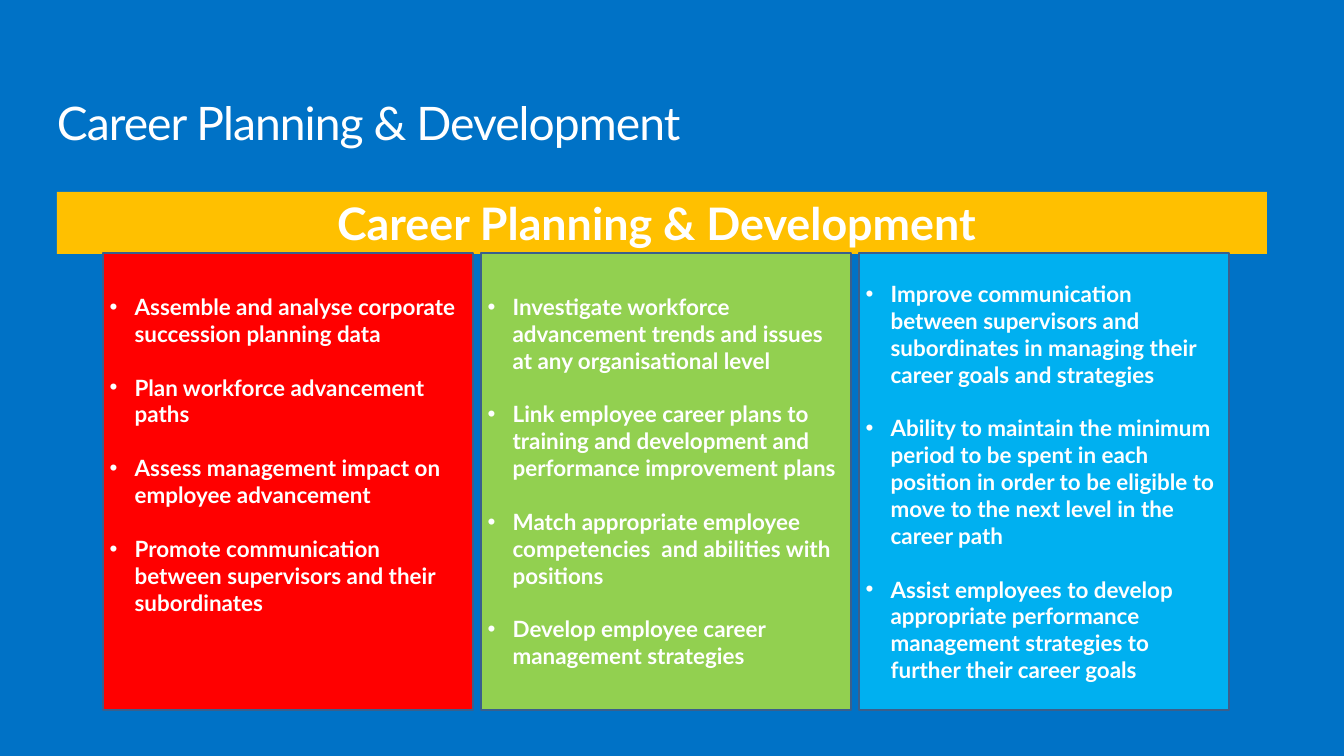
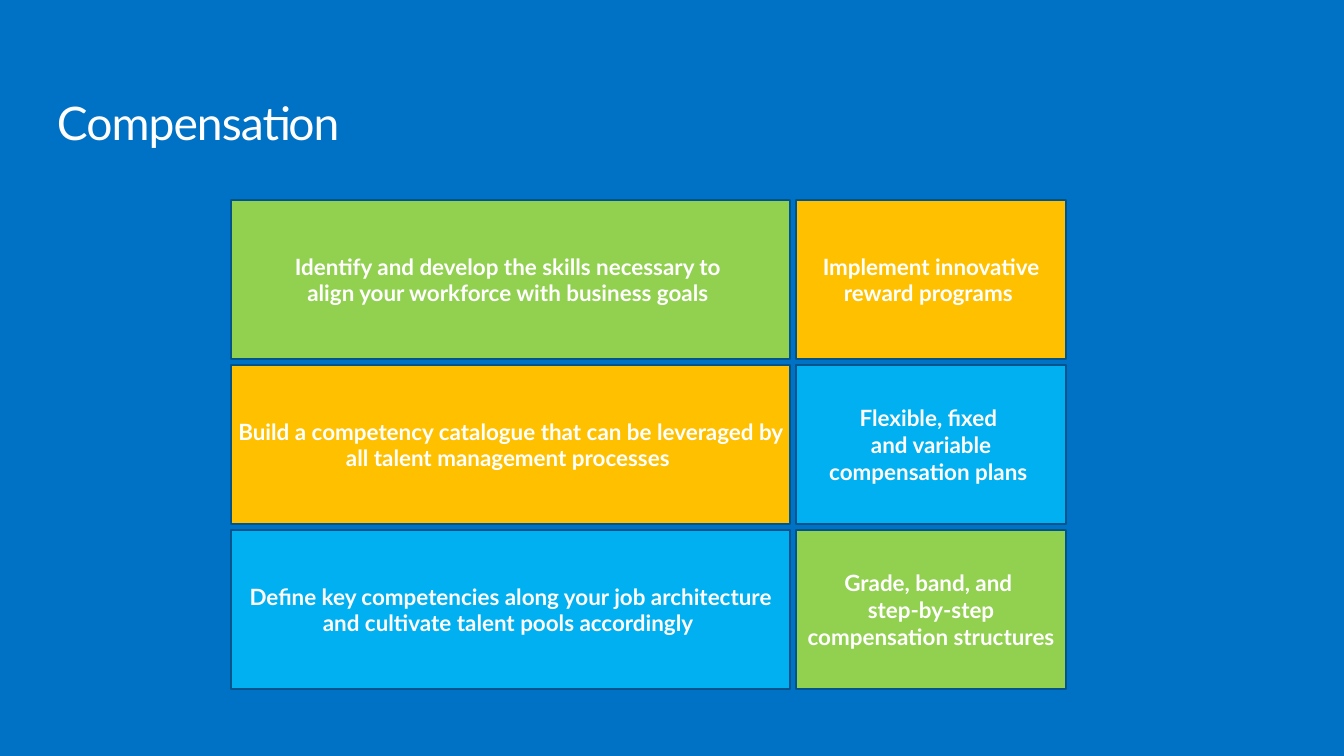
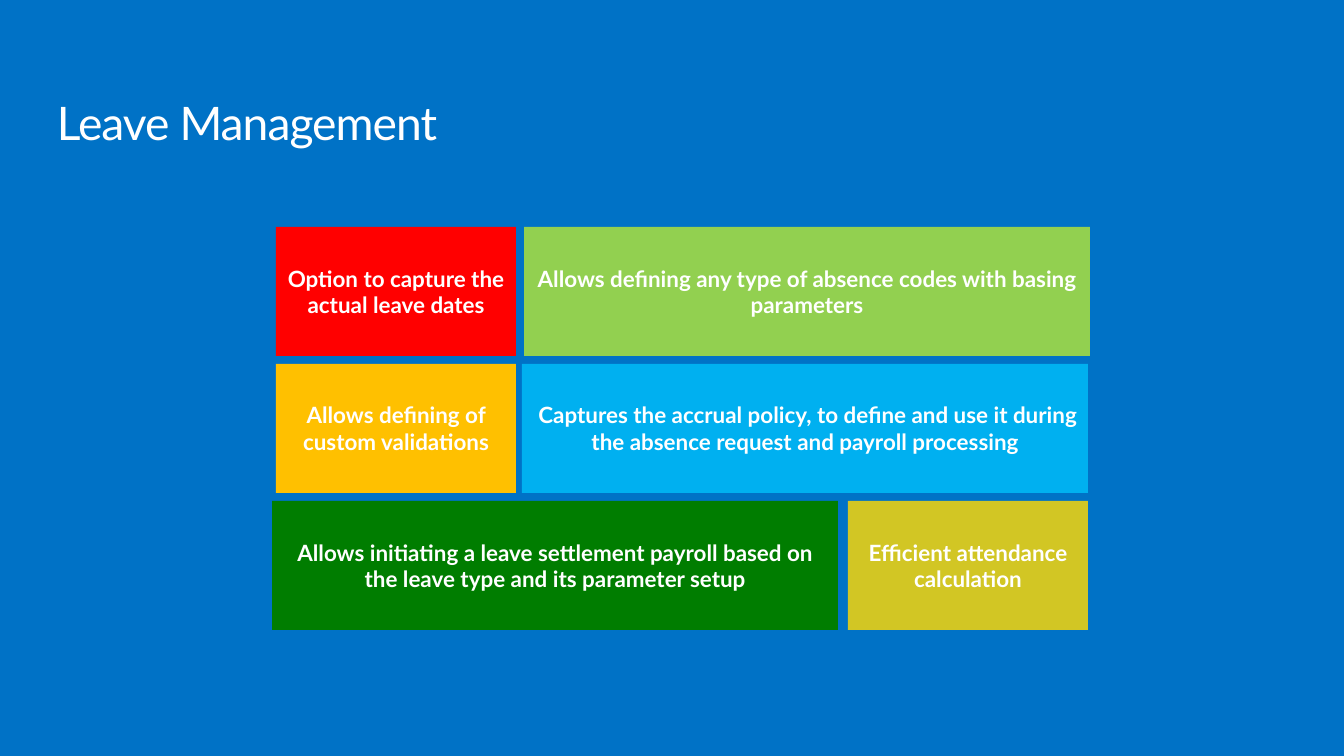
from lxml.etree import SubElement
from pptx import Presentation
from pptx.dml.color import RGBColor
from pptx.enum.shapes import MSO_SHAPE
from pptx.enum.text import MSO_ANCHOR as Anchor, MSO_AUTO_SIZE as AutoSize, PP_ALIGN as Align
from pptx.oxml.ns import qn
from pptx.util import Emu, Pt

SLIDE_WIDTH, SLIDE_HEIGHT = 1344, 756
EMU_PER_PX = 18288000 / SLIDE_WIDTH
BLANK_LAYOUT = 6

BLUE = RGBColor(0x00, 0x72, 0xC6)
WHITE = RGBColor(0xFF, 0xFF, 0xFF)
AMBER = RGBColor(0xFF, 0xC0, 0x00)
RED = RGBColor(0xFF, 0x00, 0x00)
LIME = RGBColor(0x92, 0xD0, 0x50)
SKY = RGBColor(0x00, 0xB0, 0xF0)
GREEN = RGBColor(0x00, 0x7D, 0x00)
OLIVE = RGBColor(0xD2, 0xC6, 0x24)
COLUMN_EDGE = RGBColor(0x3A, 0x5F, 0x8C)
TILE_EDGE = RGBColor(0x00, 0x54, 0x8B)

TITLE_FONT = {"name": "Lato", "size": Pt(49.5)}
BANNER_FONT = {"name": "Lato", "size": Pt(48), "bold": True}
BODY_FONT = {"name": "Lato", "size": Pt(24), "bold": True}
LETTER_SPACING = "-100"
BODY_LINE = Pt(28.8)
BULLET_INDENT = 25

TITLE_BOX = (57, 101, 1229, 50)
BANNER_BOX = (57, 192, 1210, 62)
COLUMNS_BOX = (103, 253, 1126, 457)
COLUMN_GAP = 8

# Each column: fill, space above its first line, bullet points
CAREER_COLUMNS = [
    (RED, 40, [
        "Assemble and analyse corporate succession planning data",
        "Plan workforce advancement paths",
        "Assess management impact on employee advancement",
        "Promote communication between supervisors and their subordinates",
    ]),
    (LIME, 40, [
        "Investigate workforce advancement trends and issues at any organisational level",
        "Link employee career plans to training and development and performance improvement plans",
        "Match appropriate employee competencies  and abilities with positions",
        "Develop employee career management strategies",
    ]),
    (SKY, 27, [
        "Improve communication between supervisors and subordinates in managing their "
        "career goals and strategies",
        "Ability to maintain the minimum period to be spent in each position in order "
        "to be eligible to move to the next level in the career path",
        "Assist employees to develop appropriate performance management strategies to "
        "further their career goals",
    ]),
]

# Each row: left edge, gap, tiles of (width, fill, paragraphs)
SKILL_WIDTH, REWARD_WIDTH = 559, 270
COMPENSATION_ROWS = [
    (231, 6, [
        (SKILL_WIDTH, LIME, ["Identify and develop the skills necessary to ",
                             "align your workforce with business goals "]),
        (REWARD_WIDTH, AMBER, ["Implement innovative reward programs "]),
    ]),
    (231, 6, [
        (SKILL_WIDTH, AMBER, ["Build a competency catalogue that can be leveraged by "
                              "all talent management processes "]),
        (REWARD_WIDTH, SKY, ["Flexible, fixed ", "and variable compensation plans "]),
    ]),
    (231, 6, [
        (SKILL_WIDTH, SKY, ["Define key competencies along your job architecture "
                            "and cultivate talent pools accordingly "]),
        (REWARD_WIDTH, LIME, ["Grade, band, and ", "step-by-step compensation structures"]),
    ]),
]

NARROW, WIDE = 240, 566
LEAVE_ROWS = [
    (276, 8, [
        (NARROW, RED, ["Option to capture the actual leave dates"]),
        (WIDE, LIME, ["Allows defining any type of absence codes with basing parameters"]),
    ]),
    (276, 6, [
        (NARROW, AMBER, ["Allows defining of custom validations"]),
        (WIDE, SKY, [" Captures the accrual policy, to define and use it during "
                     "the absence request and payroll processing"]),
    ]),
    (272, 10, [
        (WIDE, GREEN, ["Allows initiating a leave settlement payroll based on "
                       "the leave type and its parameter setup"]),
        (NARROW, OLIVE, ["Efficient attendance calculation"]),
    ]),
]


def px(length):
    return Emu(round(length * EMU_PER_PX))


def apply_format(target, values):
    for name, value in values.items():
        setattr(target, name, value)


def write_paragraphs(frame, texts, font, layout):
    """Fill a text frame and return its paragraphs."""
    for index, text in enumerate(texts):
        paragraph = frame.add_paragraph() if index else frame.paragraphs[0]
        apply_format(paragraph, layout)
        run = paragraph.add_run()
        run.text = text
        apply_format(run.font, font)
        run.font.color.rgb = WHITE
    return frame.paragraphs


def add_bullet(paragraph):
    properties = paragraph._p.get_or_add_pPr()
    properties.set("marL", str(px(BULLET_INDENT)))
    properties.set("indent", str(-px(BULLET_INDENT)))
    SubElement(properties, qn("a:buFont")).set("typeface", "Arial")
    SubElement(properties, qn("a:buChar")).set("char", "•")


def add_panel(slide, box, fill, edge=None):
    """Add a flat rectangle and return its text frame."""
    shape = slide.shapes.add_shape(MSO_SHAPE.RECTANGLE, *map(px, box))
    shape.shadow.inherit = False
    shape.fill.solid()
    shape.fill.fore_color.rgb = fill
    if edge is None:
        shape.line.fill.background()
    else:
        shape.line.color.rgb = edge
        shape.line.width = Pt(2)
    apply_format(shape.text_frame, {"word_wrap": True, "vertical_anchor": Anchor.MIDDLE})
    return shape.text_frame


def add_titled_slide(presentation, title):
    slide = presentation.slides.add_slide(presentation.slide_layouts[BLANK_LAYOUT])
    slide.background.fill.solid()
    slide.background.fill.fore_color.rgb = BLUE
    frame = slide.shapes.add_textbox(*map(px, TITLE_BOX)).text_frame
    apply_format(frame, {"word_wrap": True, "auto_size": AutoSize.SHAPE_TO_FIT_TEXT,
                         "margin_left": 0, "margin_top": 0,
                         "margin_right": 0, "margin_bottom": 0})
    paragraph = write_paragraphs(frame, [title], TITLE_FONT, {"line_spacing": 0.9})[0]
    paragraph.runs[0]._r.get_or_add_rPr().set("spc", LETTER_SPACING)
    return slide


def add_banner(slide, box, text):
    frame = add_panel(slide, box, AMBER)
    write_paragraphs(frame, [text], BANNER_FONT, {"alignment": Align.CENTER})


def add_bullet_columns(slide, box, columns):
    left, top, width, height = box
    column_width = (width - COLUMN_GAP * (len(columns) - 1)) / len(columns)
    for index, (fill, space_above, points) in enumerate(columns):
        column_left = left + index * (column_width + COLUMN_GAP)
        frame = add_panel(slide, (column_left, top, column_width, height), fill, COLUMN_EDGE)
        apply_format(frame, {"vertical_anchor": Anchor.TOP, "margin_top": px(space_above)})
        paragraphs = write_paragraphs(frame, points, BODY_FONT, {"alignment": Align.LEFT})
        for paragraph in paragraphs:
            add_bullet(paragraph)
        for paragraph in paragraphs[1:]:
            paragraph.space_before = BODY_LINE


def add_tile_rows(slide, top, height, row_gap, rows, edge=None):
    """Stack rows of tiles, each row running right from its own left edge."""
    for index, (left, gap, tiles) in enumerate(rows):
        row_top = top + index * (height + row_gap)
        for width, fill, texts in tiles:
            frame = add_panel(slide, (left, row_top, width, height), fill, edge)
            write_paragraphs(frame, texts, BODY_FONT, {"alignment": Align.CENTER})
            left += width + gap


def main():
    presentation = Presentation()
    presentation.slide_width = px(SLIDE_WIDTH)
    presentation.slide_height = px(SLIDE_HEIGHT)

    career = add_titled_slide(presentation, "Career Planning & Development")
    add_banner(career, BANNER_BOX, "Career Planning & Development ")
    add_bullet_columns(career, COLUMNS_BOX, CAREER_COLUMNS)

    compensation = add_titled_slide(presentation, "Compensation")
    add_tile_rows(compensation, 200, 159, 6, COMPENSATION_ROWS, TILE_EDGE)

    leave = add_titled_slide(presentation, "Leave Management")
    add_tile_rows(leave, 227, 129, 8, LEAVE_ROWS)

    presentation.save("out.pptx")


if __name__ == "__main__":
    main()
